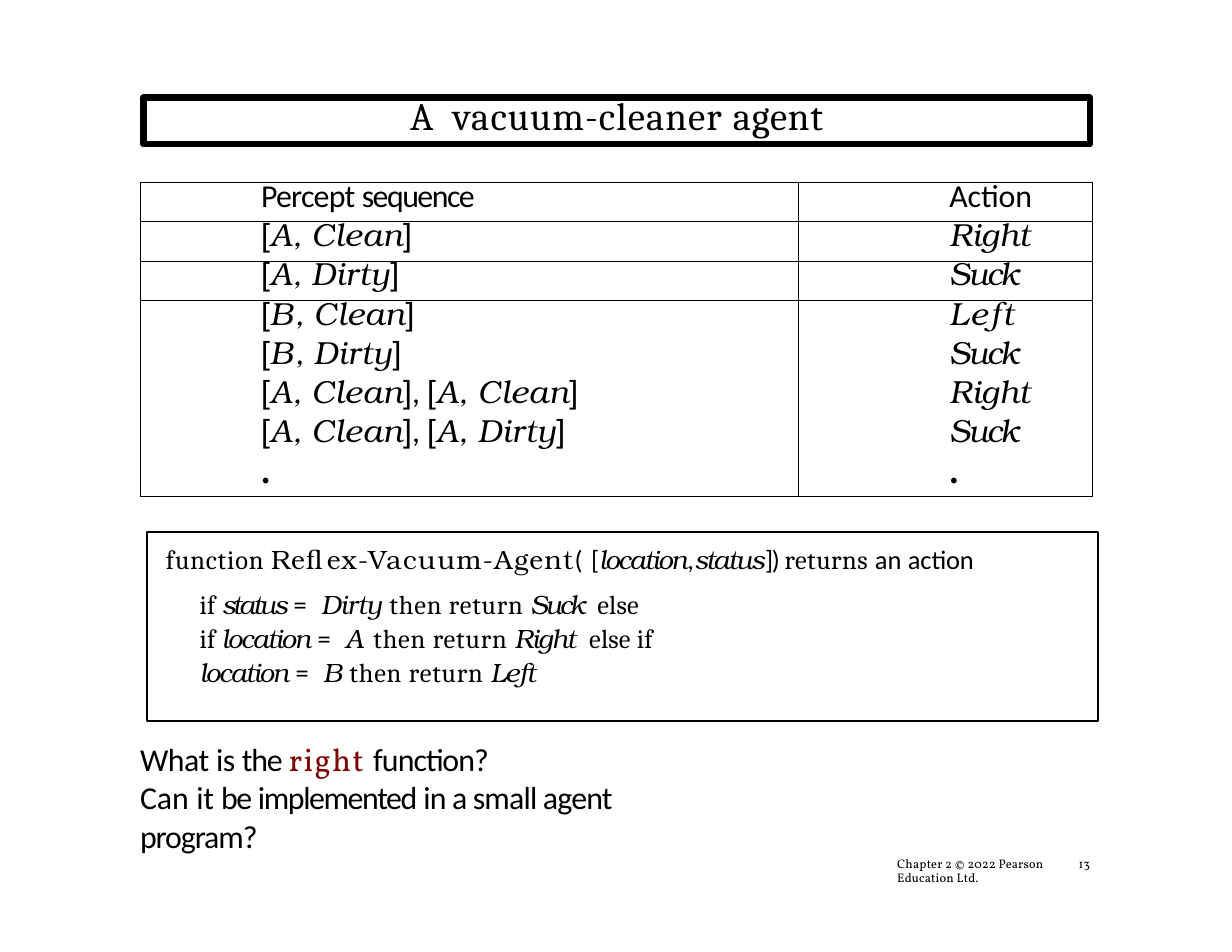
from pptx import Presentation
from pptx.dml.color import RGBColor
from pptx.enum.shapes import MSO_SHAPE
from pptx.enum.text import MSO_ANCHOR, MSO_AUTO_SIZE, PP_ALIGN
from pptx.oxml import parse_xml
from pptx.oxml.ns import nsdecls
from pptx.util import Pt

THEME = {
    "ink": "000000", "accent": "7E0000",
    "title": 25, "body": 20.5, "code": 17, "footer": 8,
    "fonts": {
        "serif": {"name": "Cambria"},
        "sans": {"name": "Calibri"},
        "bracket": {"name": "Arial"},
        "caps": {"name": "TeX Gyre Bonum"},
        "term": {"name": "TeX Gyre Bonum", "italic": True},
        "dot": {"name": "League Spartan", "bold": True},
        "note": {"name": "Vollkorn"},
        "key": {"name": "Vollkorn"},
    },
}
INK = RGBColor.from_string(THEME["ink"])
ACCENT = RGBColor.from_string(THEME["accent"])
NO_MARGINS = {"margin_left": 0, "margin_top": 0, "margin_right": 0, "margin_bottom": 0}
FRAME = {**NO_MARGINS, "word_wrap": True, "auto_size": MSO_AUTO_SIZE.NONE,
         "vertical_anchor": MSO_ANCHOR.TOP}


def apply(target, values):
    for name, value in values.items():
        setattr(target, name, value)


def write(paragraph, parts, size, indent=0, **layout):
    paragraph._p.get_or_add_pPr().set("marL", str(Pt(indent)))
    apply(paragraph, layout)
    for style, text, spacing in parts:
        if text == "\n":
            paragraph.add_line_break()
            continue
        run = paragraph.add_run()
        run.text = text
        apply(run.font, {"size": Pt(size), **THEME["fonts"][style]})
        run.font.color.rgb = ACCENT if style == "key" else INK
        run._r.get_or_add_rPr().set("spc", str(round(spacing * 100)))


prs = Presentation()
prs.slide_width, prs.slide_height = Pt(792), Pt(612)
slide = prs.slides.add_slide(prs.slide_layouts[5])

title = slide.shapes.title
apply(title, {"left": Pt(92.2), "top": Pt(62.6), "width": Pt(608.4), "height": Pt(30.2)})
title.line.color.rgb = INK
title.line.width = Pt(4.08)
apply(title.text_frame, FRAME)
write(title.text_frame.paragraphs[0],
      [("serif", "A ", 3.5), ("serif", "vacuum-cleaner ", 0.7), ("serif", "agent", 0.5)],
      THEME["title"], alignment=PP_ALIGN.CENTER, line_spacing=Pt(26.4))

ACTION_SPACING = {"Right": 0.1, "Suck": -0.9, "Left": 1.4}
percepts = [
    (["A, Clean"], "Right"),
    (["A, Dirty"], "Suck"),
    (["B, Clean"], "Left"),
    (["B, Dirty"], "Suck"),
    (["A, Clean", "A, Clean"], "Right"),
    (["A, Clean", "A, Dirty"], "Suck"),
]
rows = [([("sans", "Percept ", -0.5), ("sans", "sequence", -1)], [("sans", "Action", -0.1)])]
for sequence, action in percepts:
    parts = []
    for percept in sequence:
        square, state = percept.split(", ")
        if parts:
            parts.append(("sans", ", ", 0))
        parts += [("bracket", "[", -0.1), ("term", square, 1.1 if square == "B" else -0.1),
                  ("term", ", ", 0), ("term", state, 0.4), ("bracket", "]", 0)]
    rows.append((parts, [("term", action, ACTION_SPACING[action])]))
rows.append(([("dot", ".", 0)], [("dot", ".", 0)]))

ROW_HEIGHT = 25.2
agent_table = slide.shapes.add_table(len(rows), 2, Pt(90), Pt(117.4), Pt(612),
                                     Pt(ROW_HEIGHT * len(rows))).table
apply(agent_table, {"first_row": False, "horz_banding": False})
agent_table._tbl.tblPr.find("{*}tableStyleId").text = "{2D5ABB26-0587-4C30-8999-92F81FD0307C}"
for column, width in zip(agent_table.columns, (423.4, 188.6)):
    column.width = Pt(width)
for r, row in enumerate(rows):
    agent_table.rows[r].height = Pt(ROW_HEIGHT)
    sides = "LR" + ("T" if r < 3 else "") + ("B" if r in (0, 1, len(rows) - 1) else "")
    for c, parts in enumerate(row):
        cell = agent_table.cell(r, c)
        apply(cell, NO_MARGINS)
        for side in sides:
            cell._tc.get_or_add_tcPr().append(parse_xml(
                f'<a:ln{side} {nsdecls("a")} w="{Pt(0.5)}"><a:solidFill>'
                f'<a:srgbClr val="{THEME["ink"]}"/></a:solidFill></a:ln{side}>'))
        cell.fill.background()
        write(cell.text_frame.paragraphs[0], parts, THEME["body"], (77.8, 97)[c],
              line_spacing=Pt(21.8))

program = slide.shapes.add_shape(MSO_SHAPE.RECTANGLE, Pt(94.5), Pt(342), Pt(611.3), Pt(121.7))
program.shadow.inherit = False
program.fill.background()
program.line.color.rgb = INK
program.line.width = Pt(1.08)
apply(program.text_frame, {**FRAME, "margin_top": Pt(7.2)})
write(program.text_frame.paragraphs[0], [
    ("serif", "function ", 0.5), ("caps", "Reflex-Vacuum-Agent", 0.8), ("sans", "( ", 0.8),
    ("sans", "[", -0.9), ("term", "location", -0.9), ("sans", ",", -0.9),
    ("term", "status", -0.9), ("sans", "]) ", -0.9), ("serif", "returns ", 0.3),
    ("sans", "an ", 0.1), ("sans", "action", -0.1),
], THEME["code"], 12.2, alignment=PP_ALIGN.LEFT)
write(program.text_frame.add_paragraph(), [
    ("serif", "if ", 0.1), ("term", "status ", -1.5), ("sans", "= ", 2.6),
    ("term", "Dirty ", -0.3), ("serif", "then return ", 0.5), ("term", "Suck", -1.4),
    ("term", " ", 2.5), ("serif", "else", 0.1), ("serif", "\n", 0),
    ("serif", "if ", 0.1), ("term", "location ", -0.8), ("sans", "= ", 2.6),
    ("term", "A ", 0.6), ("serif", "then return ", 0.5), ("term", "Right", -0.8),
    ("term", " ", 3.5), ("serif", "else if", 0.1), ("serif", "\n", 0),
    ("term", "location ", -0.8), ("sans", "= ", 2.6), ("term", "B ", -0.4),
    ("serif", "then return ", 0.5), ("term", "Left", -0.6),
], THEME["code"], 33.8, alignment=PP_ALIGN.LEFT, line_spacing=1.07, space_before=Pt(7.2))

questions = slide.shapes.add_textbox(Pt(89.3), Pt(473.8), Pt(404.6), Pt(51.8)).text_frame
apply(questions, {**FRAME, "margin_top": Pt(1.4)})
write(questions.paragraphs[0], [
    ("sans", "What ", -0.3), ("sans", "is ", -0.4), ("sans", "the ", -0.8),
    ("key", "right ", 0.9), ("sans", "function?", -0.6),
], THEME["body"], 0.7)
write(questions.add_paragraph(), [
    ("sans", "Can ", 0), ("sans", "it ", -0.1), ("sans", "be ", -1),
    ("sans", "implemented ", -0.9), ("sans", "in a small agent", -0.55), ("sans", "\n", 0),
    ("sans", "program?", -0.7),
], THEME["body"], 0.7, space_before=Pt(0.3))

for left, width, indent, text, spacing in (
    (576, 101.5, 0.7, "Chapter 2 © 2022 Pearson Education Ltd.", 0.1),
    (690.5, 15.1, 2.9, "13", 0.2),
):
    footer = slide.shapes.add_textbox(Pt(left), Pt(551.5), Pt(width), Pt(18)).text_frame
    apply(footer, FRAME)
    write(footer.paragraphs[0], [("note", text, spacing)], THEME["footer"], indent,
          line_spacing=Pt(8.6))

prs.save("out.pptx")
